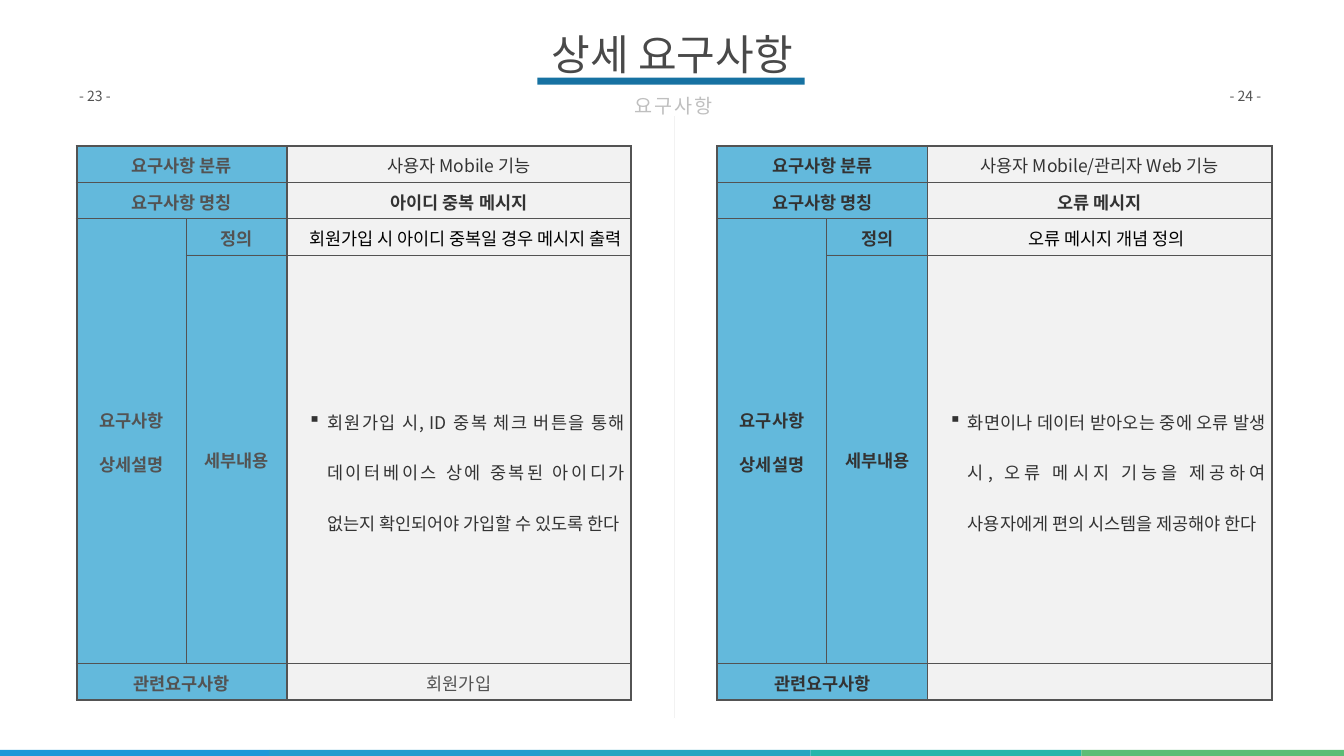
"""Build the detailed requirements slide with two requirement tables."""
from lxml.etree import SubElement
from pptx import Presentation
from pptx.dml.color import RGBColor
from pptx.enum.shapes import MSO_SHAPE as Shape
from pptx.enum.text import MSO_ANCHOR as Anchor, MSO_AUTO_SIZE as AutoSize, PP_ALIGN as Align
from pptx.oxml import parse_xml
from pptx.oxml.ns import nsdecls, qn
from pptx.util import Inches, Pt

FONT = "Noto Sans CJK KR"
WHITE = RGBColor(0xFF, 0xFF, 0xFF)
BLACK = RGBColor(0, 0, 0)
INK = RGBColor(0x33, 0x33, 0x33)
GRAY = RGBColor(0x53, 0x53, 0x53)
TITLE_GRAY = RGBColor(0x49, 0x49, 0x49)
SOFT_GRAY = RGBColor(0xBF, 0xBF, 0xBF)
PALE = RGBColor(0xF2, 0xF2, 0xF2)
BLUE = RGBColor(0x22, 0x9C, 0xCE)
DARK_BLUE = RGBColor(0x17, 0x72, 0xA2)
STRIP = [RGBColor(0x1F, 0x98, 0xD8), BLUE, RGBColor(0x27, 0xA5, 0xC1),
         RGBColor(0x24, 0xB6, 0xAB), RGBColor(0x5B, 0xBD, 0x76)]

COLUMNS = [2.17, 2, 6.83]
ROWS = [0.72, 0.72, 0.72, 8.11, 0.72]
TABLE_TOP = 2.9
MERGES = [(0, 0, 0, 1), (1, 0, 1, 1), (2, 0, 3, 0), (4, 0, 4, 1)]
LABELS = {(0, 0): "요구사항 분류", (1, 0): "요구사항 명칭", (2, 0): "요구사항\n상세설명",
          (2, 1): "정의", (3, 1): "세부내용", (4, 0): "관련요구사항"}
INDENTS = {1: (0.19, -0.19), 2: (0.47, -0.21), 3: (0.79, -0.38), 4: (0.19, -0.19)}
TABLES = [
    (1.52, GRAY, ["사용자 Mobile 기능", "아이디 중복 메시지",
                  "회원가입 시 아이디 중복일 경우 메시지 출력",
                  "회원가입 시, ID 중복 체크 버튼을 통해 데이터베이스 상에 중복된 아이디가 "
                  "없는지 확인되어야 가입할 수 있도록 한다", "회원가입"]),
    (14.23, INK, ["사용자 Mobile/관리자 Web 기능", "오류 메시지", "오류 메시지 개념 정의",
                  "화면이나 데이터 받아오는 중에 오류 발생 시, 오류 메시지 기능을 제공하여 "
                  "사용자에게 편의 시스템을 제공해야 한다", ""]),
]


def style_text(frame, size, color, bold=False, align=None, spacing=None):
    for para in frame.paragraphs:
        para.alignment = align
        for span in para.runs:
            span.font.size, span.font.bold = Pt(size), bold
            span.font.color.rgb = color
            span.font.name = FONT
            SubElement(span.font._element, qn("a:ea"), typeface=FONT)
            if spacing:
                span.font._element.set("spc", str(spacing * 100))


def add_bar(left, top, width, height, color):
    bar = page.shapes.add_shape(Shape.RECTANGLE, Inches(left), Inches(top), Inches(width), Inches(height))
    bar.shadow.inherit = False
    bar.fill.solid()
    bar.fill.fore_color.rgb = color
    bar.line.fill.background()
    return bar


deck = Presentation()
deck.slide_width, deck.slide_height = Inches(26.66), Inches(15)
page = deck.slides.add_slide(deck.slide_layouts[5])

for index, color in enumerate(STRIP):
    add_bar(-0.03 + index * 5.37, 14.88, 5.37, 0.2, color)

for left, label_color, values in TABLES:
    frame = page.shapes.add_table(len(ROWS), len(COLUMNS), Inches(left), Inches(TABLE_TOP),
                                  Inches(sum(COLUMNS)), Inches(sum(ROWS)))
    table = frame.table
    table.first_row = table.horz_banding = False
    for column, width in zip(table.columns, COLUMNS):
        column.width = Inches(width)
    for row, height in zip(table.rows, ROWS):
        row.height = Inches(height)
    for top_row, first, bottom_row, last in MERGES:
        table.cell(top_row, first).merge(table.cell(bottom_row, last))

    for r in range(len(ROWS)):
        for c in range(len(COLUMNS)):
            cell = table.cell(r, c)
            is_value = c == 2
            is_detail = is_value and r == 3
            cell.vertical_anchor = Anchor.MIDDLE
            cell.margin_left = cell.margin_top = cell.margin_bottom = Inches(0.01)
            cell.margin_right = Inches(0.12 if is_detail else 0.01)
            cell.fill.solid()
            cell.fill.fore_color.rgb = PALE if is_value else BLUE
            properties = cell._tc.get_or_add_tcPr()
            if not is_value:
                SubElement(properties.find(".//" + qn("a:srgbClr")), qn("a:alpha"), val="70000")

            right = c + cell.span_width if cell.is_merge_origin else c + 1
            bottom = r + cell.span_height if cell.is_merge_origin else r + 1
            edges = {"L": {0: 3, 2: 2.25}.get(c, 1), "R": {3: 3, 2: 2.25}.get(right, 1),
                     "T": 3 if r == 0 else 1, "B": 3 if bottom == len(ROWS) else 1}
            for position, (side, weight) in enumerate(edges.items()):
                properties.insert(position, parse_xml(
                    f'<a:ln{side} {nsdecls("a")} w="{Pt(weight)}"><a:solidFill>'
                    f'<a:srgbClr val="{GRAY}"/></a:solidFill></a:ln{side}>'))

            text = values[r] if is_value else LABELS.get((r, c), "")
            if not text:
                continue
            cell.text_frame.text = text
            value_color = {2: BLACK, 4: GRAY}.get(r, INK)
            style_text(cell.text_frame, 25, value_color if is_value else label_color,
                       not is_value or r == 1, Align.JUSTIFY if is_detail else Align.CENTER)
            for para in cell.text_frame.paragraphs:
                para.line_spacing = 2.0 if is_detail else 1.07
                if not is_detail:
                    para.space_before = para.space_after = Pt(12)
                if is_value and r in INDENTS:
                    margin, indent = INDENTS[r]
                    para_properties = para._p.get_or_add_pPr()
                    para_properties.set("marL", str(Inches(margin)))
                    para_properties.set("indent", str(Inches(indent)))
                    if is_detail:
                        SubElement(para_properties, qn("a:buChar"), char="▪")

divider = add_bar(7.4, 8.25, 11.96, 0.05, PALE)
divider.rotation = 90
divider.line.color.rgb = WHITE
divider.line.width = Pt(1)

for left, width, number in [(1.52, 0.94, "- 23 -"), (24.34, 0.9, "- 24 -")]:
    box = page.shapes.add_textbox(Inches(left), Inches(1.68), Inches(width), Inches(0.44))
    number_frame = box.text_frame
    number_frame.word_wrap = True
    number_frame.margin_left = number_frame.margin_right = Inches(0.05)
    number_frame.text = number
    style_text(number_frame, 20, GRAY)

title = page.shapes.title
title.left, title.top, title.width, title.height = Inches(10.53), Inches(0.44), Inches(5.6), Inches(1.24)
title_frame = title.text_frame
title_frame.text = "상세 요구사항"
title_frame.auto_size = AutoSize.NONE
title_frame.vertical_anchor = Anchor.MIDDLE
style_text(title_frame, 60, TITLE_GRAY, align=Align.CENTER)

add_bar(10.66, 1.54, 5.3, 0.14, DARK_BLUE)

subtitle = page.shapes.add_textbox(Inches(12.33), Inches(1.65), Inches(2.05), Inches(0.78))
subtitle_frame = subtitle.text_frame
subtitle_frame.word_wrap = False
subtitle_frame.margin_left = subtitle_frame.margin_right = Inches(0.24)
subtitle_frame.margin_top = subtitle_frame.margin_bottom = Inches(0.12)
subtitle_frame.text = "요구사항"
style_text(subtitle_frame, 28, SOFT_GRAY, align=Align.CENTER, spacing=3)
subtitle_frame.paragraphs[0].line_spacing = 1.2
subtitle_frame.paragraphs[0].space_before = Pt(5.6)

deck.save("out.pptx")
